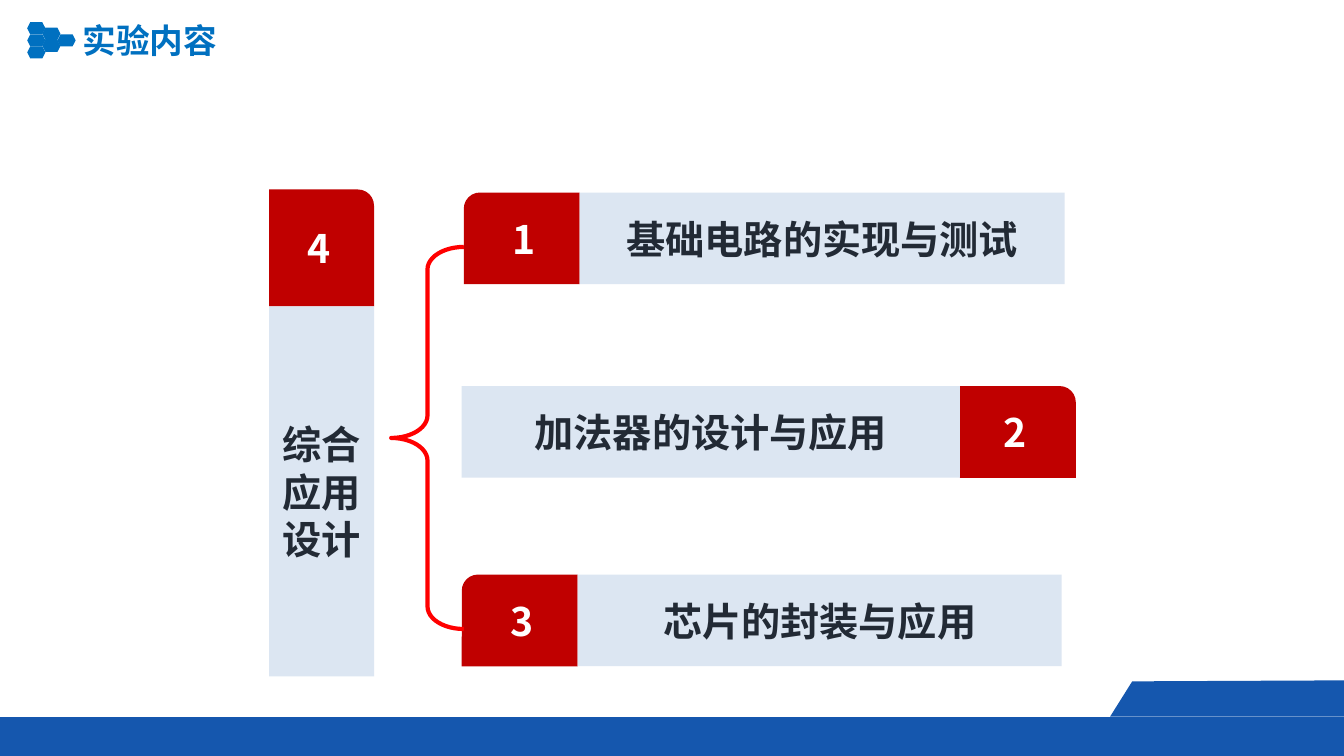
import pptx
import pptx.util
from lxml import etree
from pptx.dml.color import RGBColor
from pptx.enum.shapes import MSO_SHAPE
from pptx.enum.text import MSO_ANCHOR, PP_ALIGN
from pptx.oxml.ns import qn
from pptx.util import Inches

FONT = "Noto Sans CJK SC"
RED = RGBColor(0xC0, 0x00, 0x00)
BRACE_RED = RGBColor(0xFF, 0x00, 0x00)
PALE = RGBColor(0xDC, 0xE6, 0xF2)
INK = RGBColor(0x22, 0x2A, 0x35)
WHITE = RGBColor(0xFF, 0xFF, 0xFF)
TITLE_BLUE = RGBColor(0x00, 0x70, 0xC0)
FOOTER_BLUE = RGBColor(0x15, 0x57, 0xAE)

TITLE = "实验内容"
# number, label, left, top, bar width, tab on the left
TOPICS = [
    ("1", "基础电路的实现与测试", 4.6, 1.91, 4.81, True),
    ("2", "加法器的设计与应用", 4.58, 3.83, 4.94, False),
    ("3", "芯片的封装与应用", 4.58, 5.7, 4.8, True),
]
TAB_WIDTH, ROW_HEIGHT, CORNER = 1.15, 0.91, 0.16
SUMMARY = ("4", "综合应用设计")
SUMMARY_LEFT, SUMMARY_TOP, SUMMARY_WIDTH = 2.67, 1.88, 1.04
SUMMARY_TAB_HEIGHT, SUMMARY_BAR_HEIGHT = 1.16, 3.67

# left, top of the first, count in each column of hexagons
HEXAGON_COLUMNS = [(0.27, 0.22, 3), (0.42, 0.275, 2), (0.57, 0.34, 1)]
HEXAGON_WIDTH, HEXAGON_HEIGHT = 0.18, 0.12
FOOTER_TOP = 7.11
FOOTER_FLAP = [(13.33, FOOTER_TOP), (13.33, 6.75), (11.23, 6.76), (11.01, FOOTER_TOP)]


def write(box, text, size, color, align):
    para = box.text_frame.paragraphs[0]
    para.text = text
    para.alignment = align
    font = para.font
    font.size = pptx.util.Pt(size)
    font.bold = True
    font.color.rgb = color
    font.name = FONT
    properties = para._p.pPr.find(qn("a:defRPr"))
    etree.SubElement(properties, qn("a:ea")).set("typeface", FONT)


def paint(shape, color):
    shape.shadow.inherit = False
    shape.fill.solid()
    shape.fill.fore_color.rgb = color
    shape.line.fill.background()


def add_block(page, kind, left, top, width, height, color):
    block = page.shapes.add_shape(
        kind, Inches(left), Inches(top), Inches(width), Inches(height))
    paint(block, color)
    return block


def add_label(page, text, kind, left, top, width, height, fill, ink):
    block = add_block(page, kind, left, top, width, height, fill)
    block.text_frame.word_wrap = True
    block.text_frame.vertical_anchor = MSO_ANCHOR.MIDDLE
    write(block, text, 28, ink, PP_ALIGN.CENTER)
    return block


def add_tab(page, number, left, top, width, height, round_left):
    """Numbered red tab with one rounded upper corner."""
    tab = add_label(page, number, MSO_SHAPE.ROUND_1_RECTANGLE,
                    left, top, width, height, RED, WHITE)
    tab.adjustments[0] = CORNER / min(width, height)
    if round_left:
        tab._element.spPr.find(qn("a:xfrm")).set("flipH", "1")


def add_bar(page, text, left, top, width, height):
    add_label(page, text, MSO_SHAPE.RECTANGLE, left, top, width, height, PALE, INK)


def add_frame(page):
    """Hexagon emblem, title and footer."""
    for left, top, count in HEXAGON_COLUMNS:
        for row in range(count):
            add_block(page, MSO_SHAPE.HEXAGON, left, top + row * HEXAGON_HEIGHT,
                      HEXAGON_WIDTH, HEXAGON_HEIGHT, TITLE_BLUE)
    add_block(page, MSO_SHAPE.FLOWCHART_PROCESS, 0, FOOTER_TOP, 13.33, 0.39, FOOTER_BLUE)
    points = [(Inches(x), Inches(y)) for x, y in FOOTER_FLAP]
    outline = page.shapes.build_freeform(*points[0])
    outline.add_line_segments(points[1:], close=True)
    paint(outline.convert_to_shape(), FOOTER_BLUE)
    title = page.shapes.add_textbox(Inches(0.72), Inches(0.15), Inches(1.55), Inches(0.5))
    title.text_frame.word_wrap = False
    write(title, TITLE, 24, TITLE_BLUE, PP_ALIGN.LEFT)


def main():
    deck = pptx.Presentation()
    deck.slide_width, deck.slide_height = Inches(13.33), Inches(7.5)
    page = deck.slides.add_slide(deck.slide_layouts[6])
    add_frame(page)

    number, label = SUMMARY
    add_tab(page, number, SUMMARY_LEFT, SUMMARY_TOP, SUMMARY_WIDTH,
            SUMMARY_TAB_HEIGHT, False)
    add_bar(page, label, SUMMARY_LEFT, SUMMARY_TOP + SUMMARY_TAB_HEIGHT,
            SUMMARY_WIDTH, SUMMARY_BAR_HEIGHT)

    for number, label, left, top, bar_width, tab_first in TOPICS:
        tab_left = left if tab_first else left + bar_width
        bar_left = left + TAB_WIDTH if tab_first else left
        add_tab(page, number, tab_left, top, TAB_WIDTH, ROW_HEIGHT, tab_first)
        add_bar(page, label, bar_left, top, bar_width, ROW_HEIGHT)

    brace = page.shapes.add_shape(
        MSO_SHAPE.LEFT_BRACE, Inches(3.88), Inches(2.45), Inches(0.72), Inches(3.79))
    brace.shadow.inherit = False
    brace.fill.background()
    brace.line.color.rgb = BRACE_RED
    brace.line.width = pptx.util.Pt(3)
    brace.adjustments[0], brace.adjustments[1] = 0.31, 0.5

    deck.save("out.pptx")


if __name__ == "__main__":
    main()
